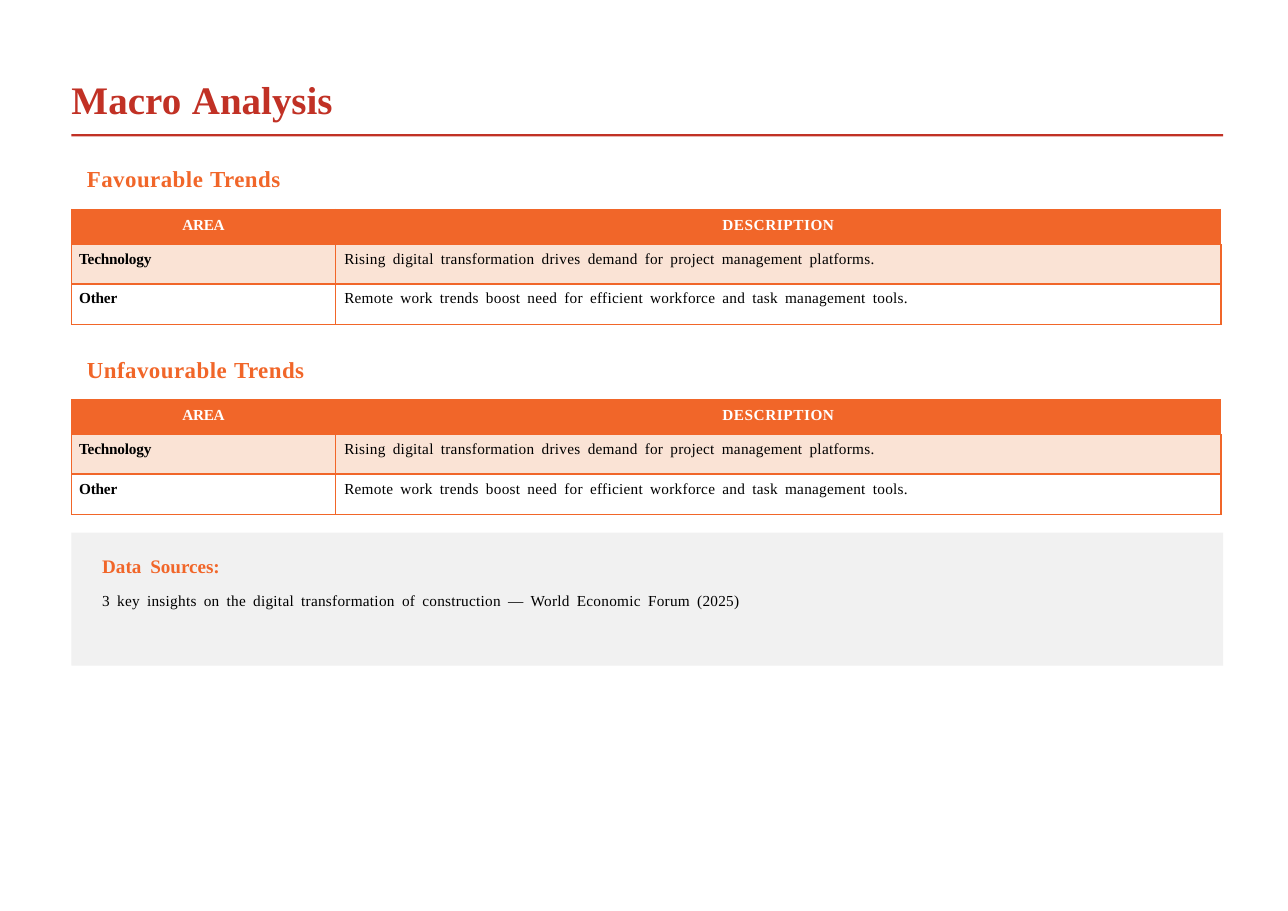
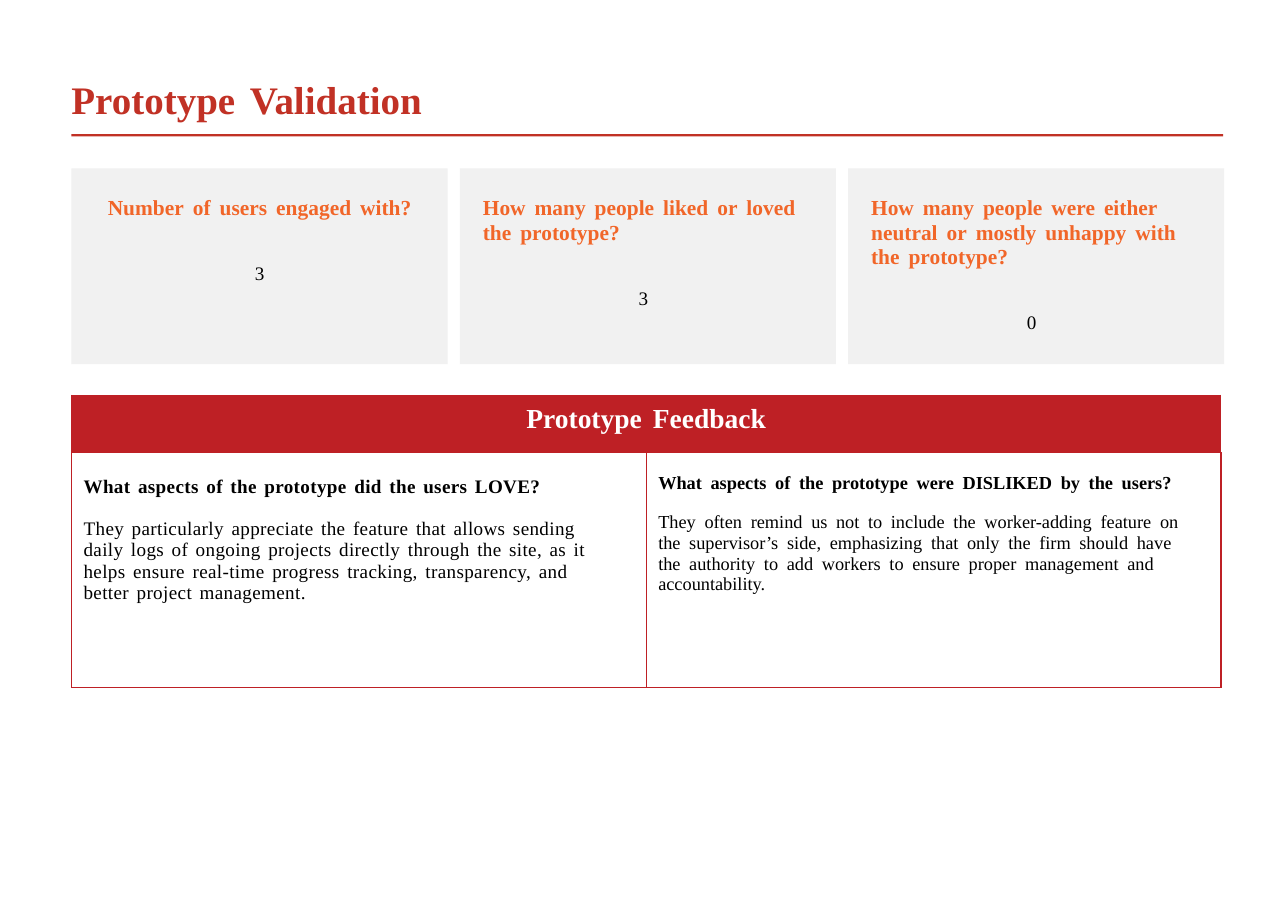
from lxml.etree import SubElement
from pptx import Presentation
from pptx.dml.color import RGBColor
from pptx.enum.shapes import MSO_SHAPE
from pptx.enum.text import MSO_ANCHOR, PP_ALIGN
from pptx.oxml.ns import qn
from pptx.util import Inches, Pt

FONT = "Times New Roman"
RED, ORANGE, CRIMSON = "C13125", "F16629", "BE2025"
PEACH, GRAY, BLACK, WHITE = "FAE3D5", "F1F1F1", "000000", "FFFFFF"
LEFT, WIDTH = 0.65, 10.47
TABLE_WIDTH = 10.45
CARD_WIDTH, CARD_GAP = 3.42, 0.11


def color(value):
    """Return the colour for a hex string."""
    return RGBColor.from_string(value)


def set_margins(holder, left=0, top=0, right=0):
    """Set the inner margins of a text frame or table cell in inches."""
    holder.margin_left, holder.margin_right = Inches(left), Inches(right)
    holder.margin_top, holder.margin_bottom = Inches(top), Inches(0)


def write(paragraph, text, size, ink, bold=False, letter=0, gap=2.5,
          align=PP_ALIGN.LEFT, before=0, line=None):
    """Write text with separate tracking for letters and for word gaps in points."""
    paragraph.alignment = align
    paragraph.space_before = Pt(before)
    if line:
        paragraph.line_spacing = Pt(line)
    font = paragraph.font
    font.name, font.size, font.bold = FONT, Pt(size), bold
    font.color.rgb = color(ink)
    for index, word in enumerate(text.split(" ")):
        pieces = [(word, letter)]
        if index:
            pieces.insert(0, (" ", gap))
        for piece, spacing in pieces:
            run = paragraph.add_run()
            run.text = piece
            run._r.get_or_add_rPr().set("spc", str(round(spacing * 100)))


def add_text(slide, left, top, height, text, size, ink, **style):
    """Add a one-line heading."""
    box = slide.shapes.add_textbox(Inches(left), Inches(top), Inches(WIDTH), Inches(height))
    box.text_frame.word_wrap = True
    set_margins(box.text_frame, top=0.02)
    write(box.text_frame.paragraphs[0], text, size, ink, bold=True, **style)


def add_panel(slide, left, top, width, height, fill):
    """Add a flat filled rectangle and return its text frame."""
    shape = slide.shapes.add_shape(MSO_SHAPE.RECTANGLE, Inches(left), Inches(top),
                                   Inches(width), Inches(height))
    shape.shadow.inherit = False
    shape.fill.solid()
    shape.fill.fore_color.rgb = color(fill)
    shape.line.fill.background()
    frame = shape.text_frame
    frame.word_wrap = True
    frame.vertical_anchor = MSO_ANCHOR.TOP
    return frame


def add_titled_slide(presentation, title, gap):
    """Add a slide with its title and rule."""
    slide = presentation.slides.add_slide(presentation.slide_layouts[6])
    add_panel(slide, LEFT, 1.22, WIDTH, 0.02, RED)
    add_text(slide, LEFT, 0.67, 0.46, title, 25.5, RED, gap=gap)
    return slide


def add_plain_table(slide, top, columns, rows):
    """Add a table without banding, sized by its columns and rows."""
    table = slide.shapes.add_table(len(rows), len(columns), Inches(LEFT), Inches(top),
                                   Inches(sum(columns)), Inches(sum(rows))).table
    table.first_row = table.horz_banding = False
    for column, width in zip(table.columns, columns):
        column.width = Inches(width)
    for row, height in zip(table.rows, rows):
        row.height = Inches(height)
    return table


def style_cell(cell, ink, widths, fill=None):
    """Set borders (left, right, top, bottom widths in points) and fill."""
    properties = cell._tc.get_or_add_tcPr()
    for side, width in zip("LRTB", widths):
        border = SubElement(properties, qn(f"a:ln{side}"), w=str(Pt(width)))
        solid = SubElement(border, qn("a:solidFill"))
        SubElement(solid, qn("a:srgbClr"), val=ink)
    if fill:
        cell.fill.solid()
        cell.fill.fore_color.rgb = color(fill)
    else:
        cell.fill.background()


def add_trends(slide, top, heading):
    """Add a heading and its table of trends."""
    add_text(slide, 0.79, top, 0.28, heading, 15, ORANGE, letter=0.3, gap=0.5)
    table = add_plain_table(slide, top + 0.42, [2.4, TABLE_WIDTH - 2.4], [0.32, 0.36, 0.37])
    for column, (text, letter) in enumerate([("AREA", -0.2), ("DESCRIPTION", 0.4)]):
        cell = table.cell(0, column)
        style_cell(cell, ORANGE, (0.75, 0.75, 0.25, 0.25), ORANGE)
        set_margins(cell, top=0.07)
        write(cell.text_frame.paragraphs[0], text, 10, WHITE, bold=True,
              letter=letter, align=PP_ALIGN.CENTER)
    trends = [
        ("Technology", "Rising digital transformation drives demand for project "
         "management platforms.", PEACH, 0.25, 1.5),
        ("Other", "Remote work trends boost need for efficient workforce and task "
         "management tools.", None, 1.5, 0.75),
    ]
    for row, (area, description, fill, above, below) in enumerate(trends, 1):
        for column, text in enumerate([area, description]):
            cell = table.cell(row, column)
            style_cell(cell, ORANGE, (0.75, 1.5 if column else 0.75, above, below), fill)
            set_margins(cell, left=0.08 if column else 0.07, top=0.06)
            write(cell.text_frame.paragraphs[0], text, 10, BLACK, bold=not column,
                  letter=0.2 if column else -0.1, gap=2.1)


def add_sources(slide):
    """Add the panel of data sources."""
    frame = add_panel(slide, LEFT, 4.84, WIDTH, 1.21, GRAY)
    set_margins(frame, left=0.28, top=0.2)
    write(frame.paragraphs[0], "Data Sources:", 12.5, ORANGE, bold=True, gap=2.7)
    write(frame.add_paragraph(), "3 key insights on the digital transformation of construction "
          "— World Economic Forum (2025)", 10, BLACK, letter=0.2, gap=2.1, before=9.3)


def add_cards(slide):
    """Add the row of question cards."""
    cards = [
        ("Number of users engaged with?", "3", PP_ALIGN.CENTER, 0, 0),
        ("How many people liked or loved the prototype?", "3", PP_ALIGN.LEFT, 0.21, 0.29),
        ("How many people were either neutral or mostly unhappy with the prototype?", "0",
         PP_ALIGN.LEFT, 0.21, 0.29),
    ]
    for index, (question, answer, align, left, right) in enumerate(cards):
        frame = add_panel(slide, LEFT + index * (CARD_WIDTH + CARD_GAP), 1.53,
                          CARD_WIDTH, 1.78, GRAY)
        set_margins(frame, left=left, top=0.25, right=right)
        write(frame.paragraphs[0], question, 14, ORANGE, bold=True, gap=2.3,
              align=align, line=16)
        write(frame.add_paragraph(), answer, 12.5, BLACK, align=PP_ALIGN.CENTER, before=27)


def add_feedback(slide):
    """Add the table of prototype feedback."""
    table = add_plain_table(slide, 3.59, [TABLE_WIDTH / 2] * 2, [0.52, 2.14])
    header = table.cell(0, 0)
    header.merge(table.cell(0, 1))
    for column in range(2):
        style_cell(table.cell(0, column), CRIMSON, (0.75, 0.75, 0.25, 0.25), CRIMSON)
    set_margins(header, top=0.08)
    write(header.text_frame.paragraphs[0], "Prototype Feedback", 18, WHITE, bold=True,
          gap=2.7, align=PP_ALIGN.CENTER)
    answers = [
        ("What aspects of the prototype did the users LOVE?",
         "They particularly appreciate the feature that allows sending daily logs of ongoing "
         "projects directly through the site, as it helps ensure real-time progress tracking, "
         "transparency, and better project management.",
         12.5, 0.25, 1.7, 14.1, 13.2, 0.22, 0.36),
        ("What aspects of the prototype were DISLIKED by the users?",
         "They often remind us not to include the worker-adding feature on the supervisor’s "
         "side, emphasizing that only the firm should have the authority to add workers to "
         "ensure proper management and accountability.",
         12, 0, 2.6, 13.5, 12.4, 0.19, 0.25),
    ]
    for column, answer in enumerate(answers):
        question, text, size, letter, gap, line, before, top, right = answer
        cell = table.cell(1, column)
        style_cell(cell, CRIMSON, (0.75, 1.5 if column else 0.75, 0.25, 0.75))
        set_margins(cell, left=0.11, top=top, right=right)
        frame = cell.text_frame
        write(frame.paragraphs[0], question, size, BLACK, bold=True, letter=letter, gap=gap)
        write(frame.add_paragraph(), text, size, BLACK, letter=letter, gap=gap,
              before=before, line=line)


def main():
    """Build and save the presentation."""
    presentation = Presentation()
    presentation.slide_width, presentation.slide_height = Inches(11.71), Inches(8.28)
    analysis = add_titled_slide(presentation, "Macro Analysis", 0.5)
    add_trends(analysis, 1.48, "Favourable Trends")
    add_trends(analysis, 3.21, "Unfavourable Trends")
    add_sources(analysis)
    validation = add_titled_slide(presentation, "Prototype Validation", 3)
    add_cards(validation)
    add_feedback(validation)
    presentation.save("out.pptx")


if __name__ == "__main__":
    main()
